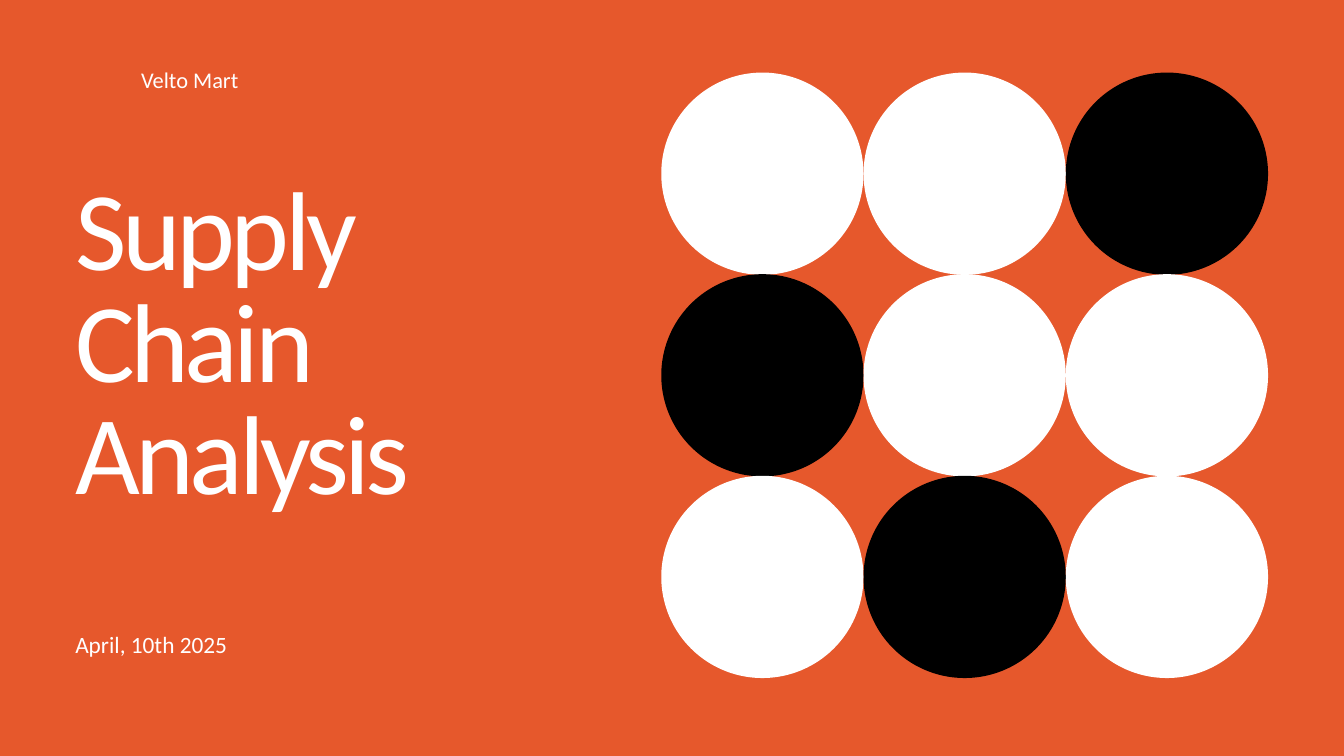
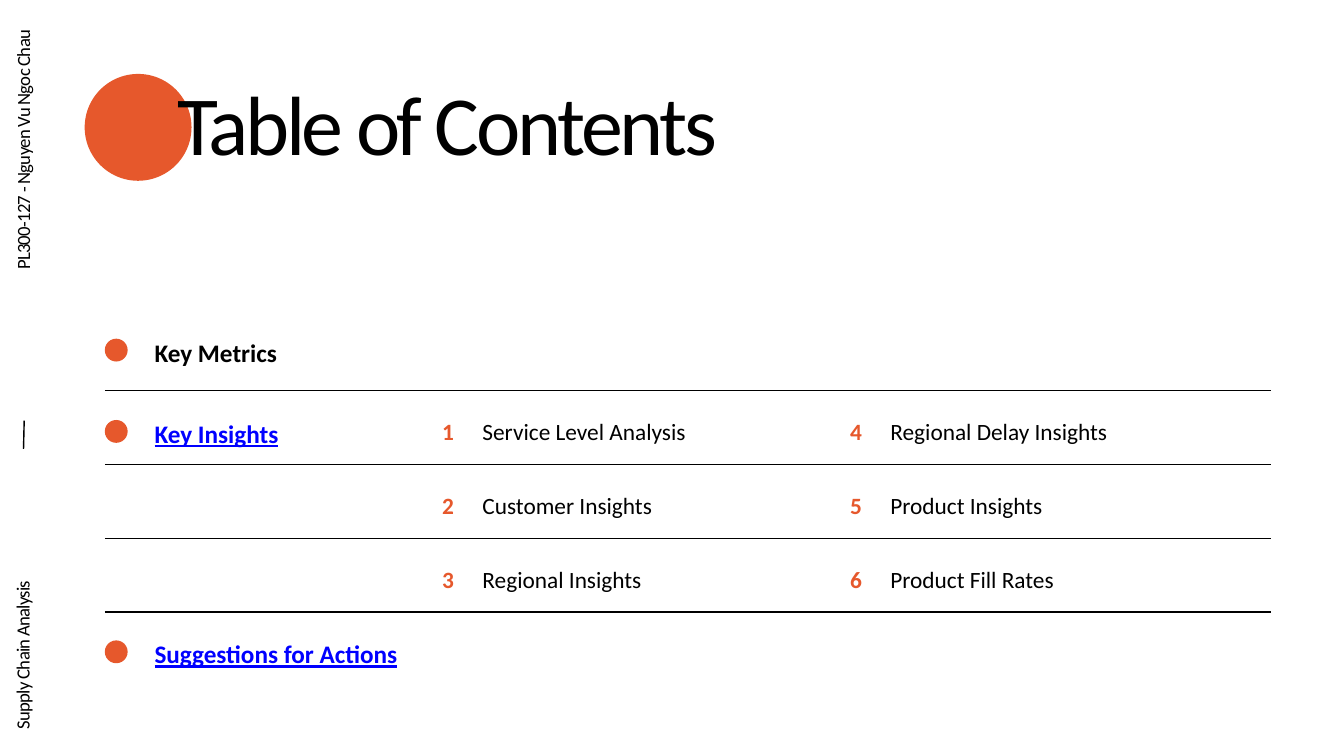
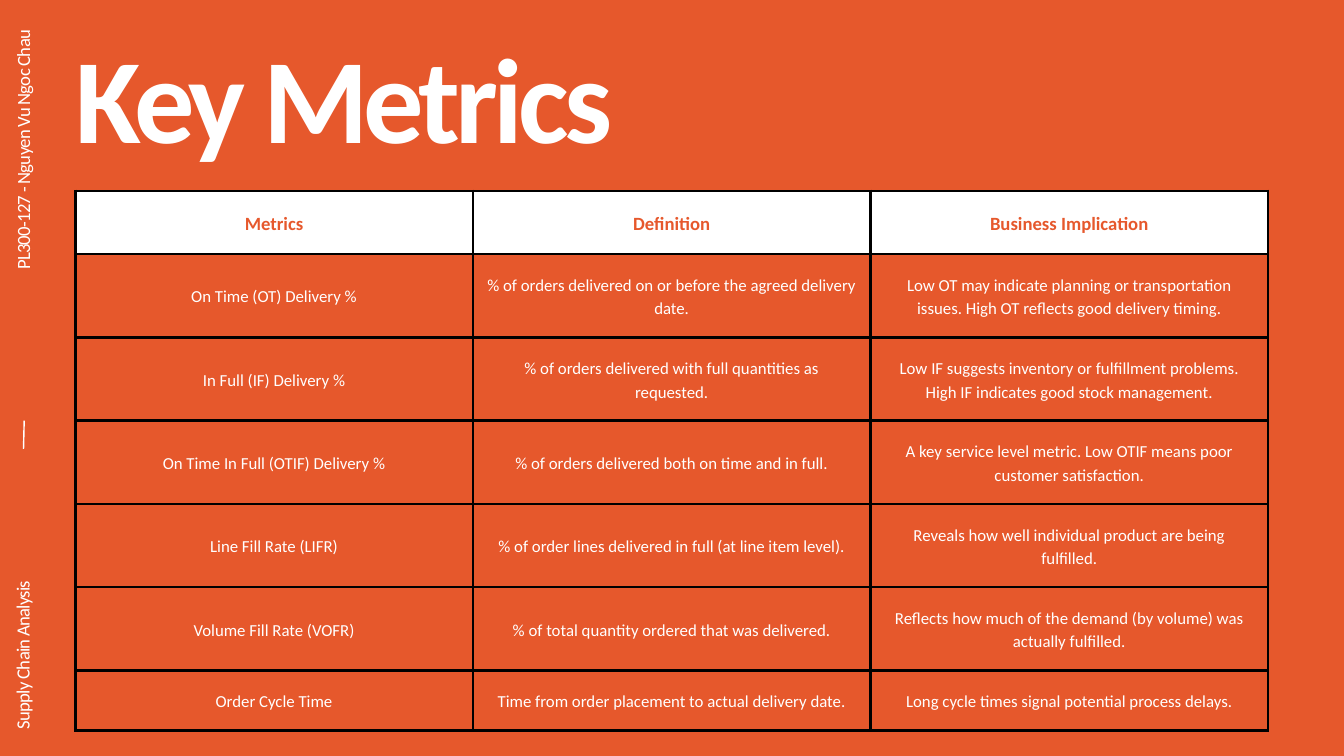
from lxml.etree import SubElement
from pptx import Presentation
from pptx.dml.color import RGBColor
from pptx.enum.shapes import MSO_CONNECTOR, MSO_SHAPE
from pptx.enum.text import MSO_ANCHOR, MSO_AUTO_SIZE, PP_ALIGN
from pptx.oxml.ns import qn
from pptx.util import Inches, Pt

ORANGE = RGBColor(0xE6, 0x58, 0x2C)
WHITE = RGBColor(0xFF, 0xFF, 0xFF)
BLACK = RGBColor(0x00, 0x00, 0x00)
LINK_BLUE = RGBColor(0x00, 0x00, 0xFF)
FONT = "Calibri"
TITLE_ONLY = 5

REPORT = "Supply Chain Analysis"
AUTHOR = "PL300-127 - Nguyen Vu Ngoc Chau"

CIRCLE_COLORS = [
    (WHITE, WHITE, BLACK),
    (BLACK, WHITE, WHITE),
    (WHITE, BLACK, WHITE),
]
SECTIONS = [
    ("Key Metrics", 4.94, BLACK),
    ("Key Insights", 6.15, LINK_BLUE),
    ("Suggestions for Actions", 9.43, LINK_BLUE),
]
INSIGHTS = [
    "Service Level Analysis", "Customer Insights", "Regional Insights",
    "Regional Delay Insights", "Product Insights", "Product Fill Rates",
]
METRICS = [
    ("Metrics", "Definition", "Business Implication"),
    ("On Time (OT) Delivery %",
     "% of orders delivered on or before the agreed delivery date.",
     "Low OT may indicate planning or transportation issues. High OT reflects good delivery timing."),
    ("In Full (IF) Delivery %",
     "% of orders delivered with full quantities as requested.",
     "Low IF suggests inventory or fulfillment problems. High IF indicates good stock management."),
    ("On Time In Full (OTIF) Delivery %",
     "% of orders delivered both on time and in full.",
     "A key service level metric. Low OTIF means poor customer satisfaction."),
    ("Line Fill Rate (LIFR)",
     "% of order lines delivered in full (at line item level).",
     "Reveals how well individual product are being fulfilled."),
    ("Volume Fill Rate (VOFR)",
     "% of total quantity ordered that was delivered.",
     "Reflects how much of the demand (by volume) was actually fulfilled."),
    ("Order Cycle Time",
     "Time from order placement to actual delivery date.",
     "Long cycle times signal potential process delays."),
]
ROW_HEIGHTS = [0.94] + [1.24] * 5 + [0.89]


class Deck:
    def __init__(self):
        self.prs = Presentation()
        self.prs.slide_width = Inches(20)
        self.prs.slide_height = Inches(11.25)

    def new_slide(self, background, ink):
        self.slide = self.prs.slides.add_slide(self.prs.slide_layouts[TITLE_ONLY])
        self.shapes = self.slide.shapes
        self.ink = ink
        fill = self.slide.background.fill
        fill.solid()
        fill.fore_color.rgb = background

    def style(self, frame, text, size, color=None, bold=False, underline=False,
              align=PP_ALIGN.LEFT, leading=1.4, tracking=0):
        frame.text = text
        paragraph = frame.paragraphs[0]
        paragraph.alignment = align
        paragraph.line_spacing = Pt(round(size * leading, 1))
        run = paragraph.runs[0]
        font = run.font
        font.name = FONT
        font.size = Pt(size)
        font.bold = bold
        font.underline = underline
        font.color.rgb = self.ink if color is None else color
        if tracking:
            font._element.set("spc", str(round(tracking * 100)))

    def fit(self, frame):
        frame.word_wrap = True
        frame.auto_size = MSO_AUTO_SIZE.NONE
        frame.vertical_anchor = MSO_ANCHOR.TOP
        frame.margin_left = frame.margin_right = 0
        frame.margin_top = frame.margin_bottom = 0

    def title(self, text, left, top, width, height, size, bold=False):
        heading = self.shapes.title
        heading.left, heading.top = Inches(left), Inches(top)
        heading.width, heading.height = Inches(width), Inches(height)
        self.fit(heading.text_frame)
        self.style(heading.text_frame, text, size, bold=bold, leading=1,
                   tracking=-0.04 * size)
        self.shapes._spTree.append(heading._element)

    def text(self, text, left, top, width, height, size, rotation=0, **look):
        box = self.shapes.add_textbox(Inches(left), Inches(top),
                                      Inches(width), Inches(height))
        box.rotation = rotation
        self.fit(box.text_frame)
        self.style(box.text_frame, text, size, **look)

    def circle(self, left, top, diameter, color):
        disc = self.shapes.add_shape(MSO_SHAPE.OVAL, Inches(left), Inches(top),
                                     Inches(diameter), Inches(diameter))
        disc.shadow.inherit = False
        disc.fill.solid()
        disc.fill.fore_color.rgb = color
        disc.line.fill.background()

    def line(self, x1, y1, x2, y2):
        rule = self.shapes.add_connector(MSO_CONNECTOR.STRAIGHT, Inches(x1), Inches(y1),
                                         Inches(x2), Inches(y2))
        rule.line.color.rgb = self.ink
        rule.line.width = Pt(1.5)
        SubElement(rule._element.spPr, qn("a:effectLst"))

    def sidebar(self):
        self.text(REPORT, -1.37, 8.96, 3.48, 0.3, 20, rotation=270,
                  leading=1, tracking=-0.8)
        self.text(AUTHOR, -2, 2.67, 4.75, 0.3, 20, rotation=270,
                  align=PP_ALIGN.RIGHT, leading=1, tracking=-0.8)
        self.line(0.35, 6.68, 0.36, 6.26)

    def cell_borders(self, cell):
        properties = cell._tc.get_or_add_tcPr()
        for side in ("lnL", "lnR", "lnT", "lnB"):
            edge = SubElement(properties, qn(f"a:{side}"), w=str(Pt(3)))
            paint = SubElement(edge, qn("a:solidFill"))
            SubElement(paint, qn("a:srgbClr"), val=str(BLACK))

    def table(self, rows, left, top, width, heights):
        grid = self.shapes.add_table(len(rows), len(rows[0]), Inches(left), Inches(top),
                                     Inches(width), Inches(sum(heights))).table
        grid.first_row = grid.horz_banding = False
        for r, (entries, height) in enumerate(zip(rows, heights)):
            grid.rows[r].height = Inches(height)
            for c, entry in enumerate(entries):
                cell = grid.cell(r, c)
                cell.margin_left = cell.margin_right = Inches(0.21)
                cell.margin_top = cell.margin_bottom = Inches(0.21)
                cell.vertical_anchor = MSO_ANCHOR.MIDDLE
                self.cell_borders(cell)
                if r == 0:
                    cell.fill.solid()
                    cell.fill.fore_color.rgb = WHITE
                    look = dict(size=20, color=ORANGE, bold=True)
                else:
                    cell.fill.background()
                    look = dict(size=18)
                self.style(cell.text_frame, entry, align=PP_ALIGN.CENTER, **look)


def cover(deck):
    deck.new_slide(ORANGE, WHITE)
    for r, colors in enumerate(CIRCLE_COLORS):
        for c, color in enumerate(colors):
            deck.circle(9.84 + 3.01 * c, 1.08 + 3 * r, 3.01, color)
    deck.title(REPORT, 1.12, 2.69, 7.36, 5.09, 120)
    deck.text("April, 10th 2025", 1.12, 9.31, 6.59, 0.46, 25)
    deck.text("Velto Mart", 2.1, 0.91, 2.7, 0.45, 24)


def contents(deck):
    deck.new_slide(WHITE, BLACK)
    deck.circle(1.26, 1.1, 1.59, ORANGE)
    deck.title("Table of Contents", 2.64, 1.32, 9.31, 1.32, 90)
    for i in range(4):
        y = 5.81 + 1.1 * i
        deck.line(1.56, y, 18.91, y)
    for section, top, color in SECTIONS:
        deck.circle(1.56, top + 0.1, 0.34, ORANGE)
        deck.text(section, 2.3, top, 5.99, 0.51, 27, color=color, bold=True,
                  underline=color == LINK_BLUE)
    for i, insight in enumerate(INSIGHTS):
        column, row = divmod(i, 3)
        left, top = 6.58 + 6.07 * column, 6.14 + 1.1 * row
        deck.text(str(i + 1), left, top, 0.5, 0.46, 25, color=ORANGE, bold=True)
        deck.text(insight, left + 0.6, top, 5.04, 0.46, 25)
    deck.sidebar()


def key_metrics(deck):
    deck.new_slide(ORANGE, WHITE)
    deck.table(METRICS, 1.12, 2.84, 17.75, ROW_HEIGHTS)
    deck.title("Key Metrics", 1.12, 0.7, 10.22, 1.89, 129, bold=True)
    deck.sidebar()


def main():
    deck = Deck()
    cover(deck)
    contents(deck)
    key_metrics(deck)
    deck.prs.save("out.pptx")


if __name__ == "__main__":
    main()
